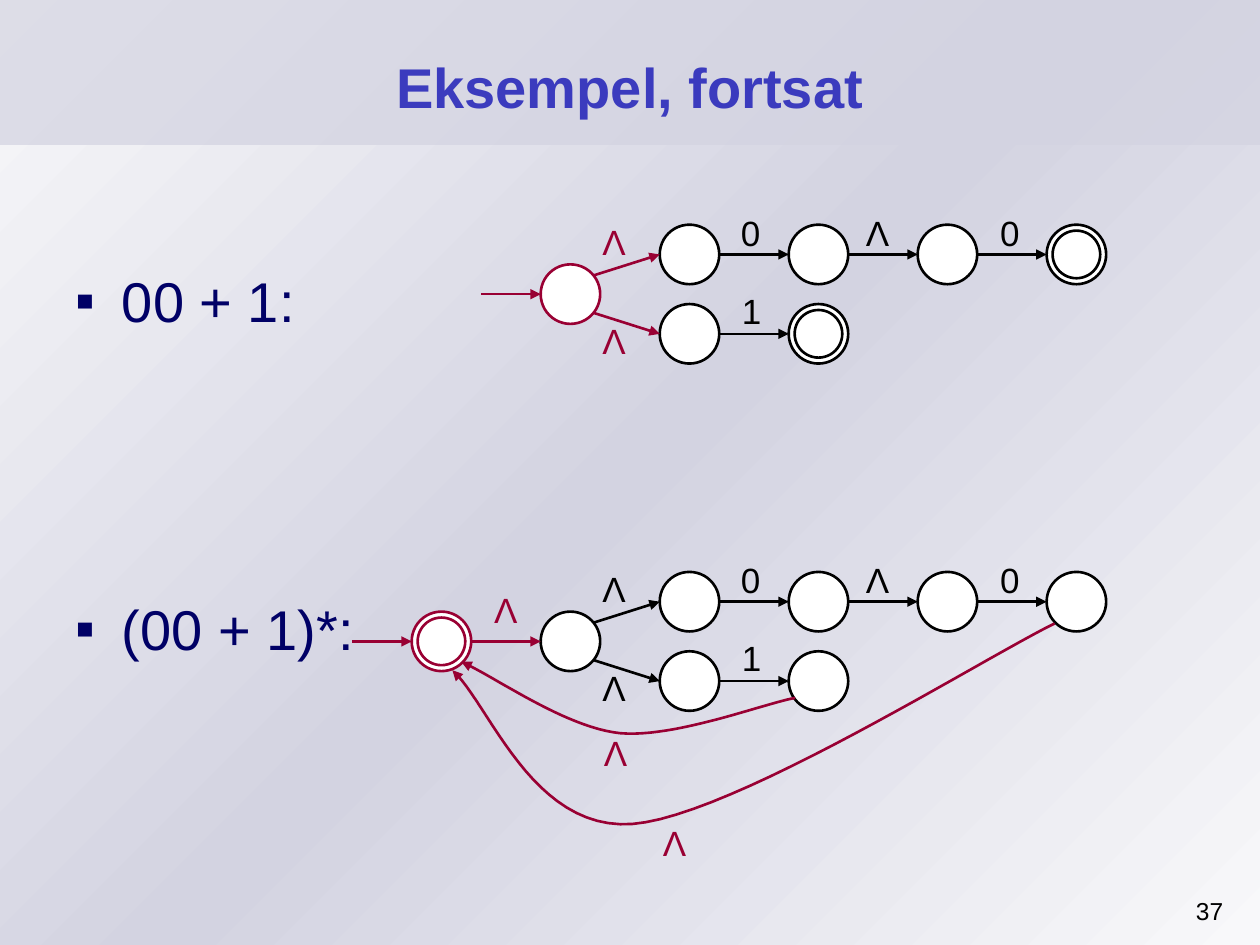
"""Build a slide with two finite automata for 00 + 1 and (00 + 1)*."""
from copy import deepcopy
from math import cos, sin

from lxml import etree
from pptx import Presentation
from pptx import util as u
from pptx.dml import color
from pptx.enum import shapes, text
from pptx.oxml import ns

THEME = dict(
    font="Arial", title="3B3BBE", body="000066", ink="000000", new="990033",
    white="FFFFFF", light="F8F8FA", band="D3D3E1",
    title_pt=32, body_pt=32, label_pt=20, number_pt=14, line_pt=1.5,
)
TITLE, NUMBER = "Eksempel, fortsat", "37"
BULLETS = [("00 + 1:", 0), ("(00 + 1)*:", 149)]
WIDTH, HEIGHT = 25.4, 19.05
RADIUS, INNER, ENTRY, FORK = 0.6, 0.48, 1.2, 0.68

STATES = {
    "loop": (8.9, 0), "start": (11.5, 0),
    "a1": (13.9, -0.8), "a2": (16.5, -0.8), "a3": (19.1, -0.8), "a4": (21.7, -0.8),
    "b1": (13.9, 0.8), "b2": (16.5, 0.8),
}
EDGES = [("loop", "start"), ("start", "a1"), ("start", "b1"), ("a1", "a2"),
         ("a2", "a3"), ("a3", "a4"), ("b1", "b2")]
LABELS = [("Λ", 12.38, -1.05), ("Λ", 12.38, 0.95), ("0", 15.13, -1.24),
          ("Λ", 17.69, -1.24), ("0", 20.36, -1.24), ("1", 15.15, 0.34)]
LOOP_LABELS = [("Λ", 10.2, -0.64), ("Λ", 12.41, 2.26), ("Λ", 13.6, 4.06)]
LOOP_CURVES = [
    [(21.26, -0.36), (19.84, 0.33), (14.76, 3.53), (12.75, 3.68),
     (10.72, 3.83), (9.86, 1.24), (9.12, 0.58)],
    [(16.03, 1.14), (15.44, 1.24), (13.61, 1.95), (12.5, 1.85),
     (11.38, 1.73), (9.98, 0.71), (9.3, 0.41)],
]
AUTOMATA = [
    dict(y=5.93, entry="start", final={"a4", "b2"}, skip={"loop"},
         new_states={"start"}, new_edges={("start", "a1"), ("start", "b1")},
         labels=LABELS[2:], new_labels=LABELS[:2], curves=[]),
    dict(y=12.93, entry="loop", final={"loop"}, skip=set(),
         new_states={"loop"}, new_edges={("loop", "start")},
         labels=LABELS, new_labels=LOOP_LABELS, curves=LOOP_CURVES),
]


def rgb(name):
    return color.RGBColor.from_string(THEME[name])


def apply(obj, **values):
    for name, value in values.items():
        setattr(obj, name, value)


def sub(parent, tag, **attrs):
    return etree.SubElement(parent, ns.qn(tag), attrs)


def add_text(slide, box, lines, pt, ink, bold=False, bullet=False, **frame):
    align = frame.pop("align", text.PP_ALIGN.LEFT)
    tf = slide.shapes.add_textbox(*map(u.Cm, box)).text_frame
    apply(tf, **{"word_wrap": True, **frame})
    for i, (line, before) in enumerate(lines):
        p = tf.add_paragraph() if i else tf.paragraphs[0]
        if bullet:
            pPr = p._p.get_or_add_pPr()
            apply(p, space_before=u.Pt(before))
            pPr.set("marL", str(u.Cm(0.94)))
            pPr.set("indent", str(-u.Cm(0.94)))
            sub(sub(pPr, "a:buClr"), "a:srgbClr", val=THEME[ink])
            sub(pPr, "a:buFont", typeface=THEME["font"])
            sub(pPr, "a:buChar", char="▪")
        p.alignment = align
        r = p.add_run()
        r.text = line
        apply(r.font, name=THEME["font"], size=u.Pt(THEME[pt]), bold=bold)
        r.font.color.rgb = rgb(ink)


def add_rect(slide, height):
    sp = slide.shapes.add_shape(shapes.MSO_SHAPE.RECTANGLE, 0, 0, u.Cm(WIDTH), u.Cm(height))
    sp.shadow.inherit = False
    sp.line.fill.background()
    return sp


def add_background(slide):
    sp = add_rect(slide, HEIGHT)
    sp.fill.gradient()
    sp.fill.gradient_angle = 135
    stops = sp._element.spPr.find(".//" + ns.qn("a:gsLst"))
    stops.insert(1, deepcopy(stops[0]))
    for stop, name, position in zip(sp.fill.gradient_stops, ("light", "band", "light"), (0, 0.5, 1)):
        stop.color.rgb = rgb(name)
        stop.position = position
    band = add_rect(slide, 2.92)
    band.fill.solid()
    band.fill.fore_color.rgb = rgb("band")
    sub(band._element.spPr.find(".//" + ns.qn("a:srgbClr")), "a:alpha", val="72000")


def set_line(sp, ink, arrow=False):
    sp.line.width = u.Pt(THEME["line_pt"])
    sp.line.color.rgb = rgb(ink)
    if arrow:
        sub(sp.line._get_or_add_ln(), "a:tailEnd", type="triangle")


def add_arrow(slide, begin, end, ink):
    sp = slide.shapes.add_connector(shapes.MSO_CONNECTOR.STRAIGHT, *map(u.Cm, begin + end))
    set_line(sp, ink, arrow=True)
    sub(sp._element.spPr, "a:effectLst")


def add_circle(slide, x, y, radius, ink):
    sp = slide.shapes.add_shape(shapes.MSO_SHAPE.OVAL, u.Cm(x - radius), u.Cm(y - radius),
                                u.Cm(2 * radius), u.Cm(2 * radius))
    sp.shadow.inherit = False
    sp.fill.solid()
    sp.fill.fore_color.rgb = rgb("white")
    set_line(sp, ink)


def bezier(a, b, c, d, steps=24):
    for i in range(1, steps + 1):
        t = i / steps
        s = 1 - t
        yield tuple(s**3 * k + 3 * s * s * t * m + 3 * s * t * t * n + t**3 * q
                    for k, m, n, q in zip(a, b, c, d))


def add_curve(slide, points, y, ink):
    track = [points[0], *bezier(*points[:4]), *bezier(*points[3:])]
    track = [(u.Cm(px), u.Cm(y + py)) for px, py in track]
    builder = slide.shapes.build_freeform(*track[0])
    builder.add_line_segments(track[1:], close=False)
    sp = builder.convert_to_shape()
    sp.shadow.inherit = False
    sp.fill.background()
    set_line(sp, ink, arrow=True)


def add_automaton(slide, spec):
    y = spec["y"]
    at = {name: (sx, y + sy) for name, (sx, sy) in STATES.items() if name not in spec["skip"]}
    for name, (sx, sy) in at.items():
        ink = "new" if name in spec["new_states"] else "ink"
        for radius in (RADIUS, INNER) if name in spec["final"] else (RADIUS,):
            add_circle(slide, sx, sy, radius, ink)
    ex, ey = at[spec["entry"]]
    add_arrow(slide, (ex - RADIUS - ENTRY, ey), (ex - RADIUS, ey), "new")
    for edge in EDGES:
        if spec["skip"].isdisjoint(edge):
            (ax, ay), (bx, by) = (at[name] for name in edge)
            turn = FORK * ((by > ay) - (by < ay))
            begin = (ax + RADIUS * cos(turn), ay + RADIUS * sin(turn))
            add_arrow(slide, begin, (bx - RADIUS, by),
                      "new" if edge in spec["new_edges"] else "ink")
    for points in spec["curves"]:
        add_curve(slide, points, y, "new")
    for ink, labels in (("ink", spec["labels"]), ("new", spec["new_labels"])):
        for label, lx, ly in labels:
            add_text(slide, (lx - 0.5, y + ly - 0.56, 1, 1.12), [(label, 0)], "label_pt", ink,
                     word_wrap=False, align=text.PP_ALIGN.CENTER)


def main():
    prs = Presentation()
    apply(prs, slide_width=u.Cm(WIDTH), slide_height=u.Cm(HEIGHT))
    slide = prs.slides.add_slide(prs.slide_layouts[6])
    add_background(slide)
    add_text(slide, (1.27, 0.48, 22.86, 2.5), [(TITLE, 0)], "title_pt", "title", bold=True,
             align=text.PP_ALIGN.CENTER, vertical_anchor=text.MSO_ANCHOR.MIDDLE)
    add_text(slide, (1.27, 5.24, 23.44, 12.49), BULLETS, "body_pt", "body", bullet=True)
    for automaton in AUTOMATA:
        add_automaton(slide, automaton)
    add_text(slide, (22.91, 17.93, 2, 1), [(NUMBER, 0)], "number_pt", "ink",
             align=text.PP_ALIGN.RIGHT)
    prs.save("out.pptx")


if __name__ == "__main__":
    main()
